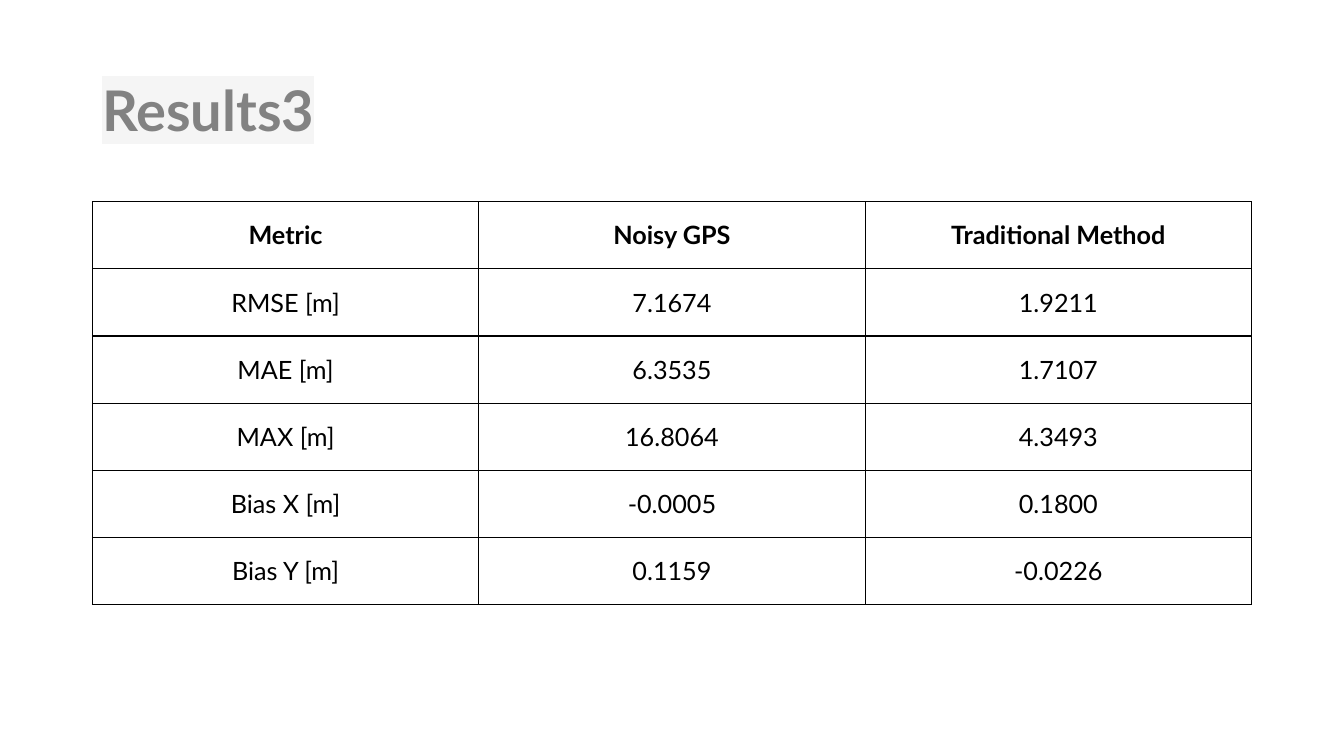
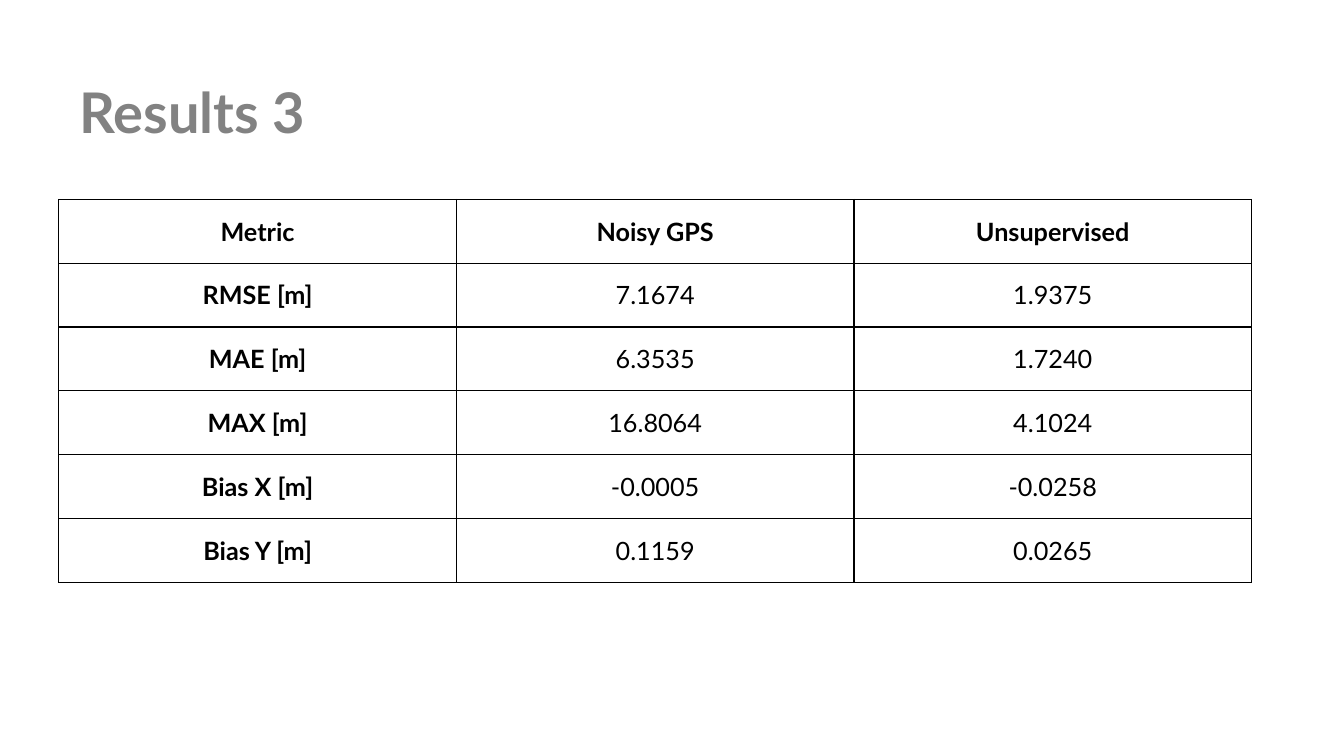
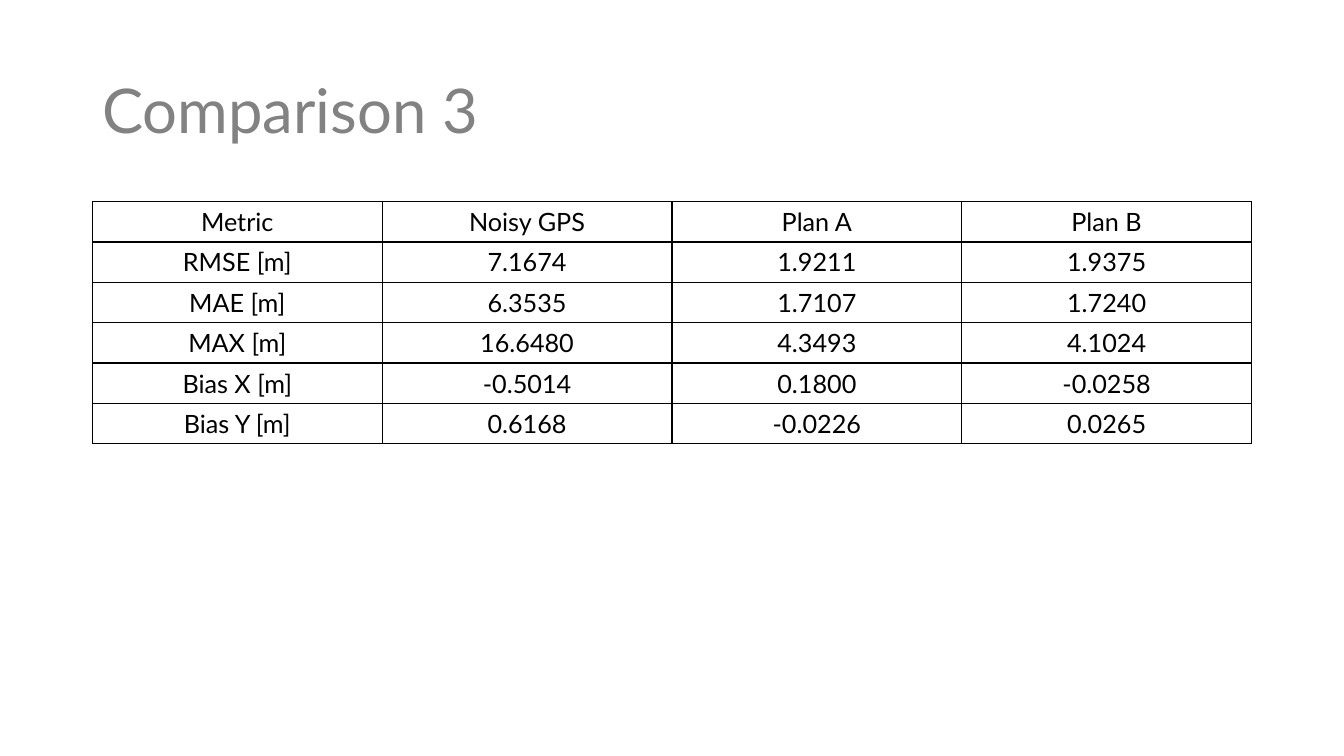
from lxml import etree
from pptx import Presentation
from pptx.dml.color import RGBColor
from pptx.enum import text
from pptx.oxml import ns
from pptx.util import Pt

FONT = "Lato"
COLORS = {"title": "828282", "highlight": "F5F5F5", "ink": "000000"}
METRICS = ["Metric", "RMSE [m]", "MAE [m]", "MAX [m]", "Bias X [m]", "Bias Y [m]"]
NOISY = ["Noisy GPS", "7.1674", "6.3535", "16.8064", "-0.0005", "0.1159"]
NOISY_COMPARED = ["Noisy GPS", "7.1674", "6.3535", "16.6480", "-0.5014", "0.6168"]
TRADITIONAL = ["1.9211", "1.7107", "4.3493", "0.1800", "-0.0226"]
UNSUPERVISED = ["1.9375", "1.7240", "4.1024", "-0.0258", "0.0265"]


def style(paragraph, size, color, bold):
    font = paragraph.font
    font.name, font.size, font.bold = FONT, Pt(size), bold
    font.color.rgb = RGBColor.from_string(COLORS[color])


def add_color(parent, tag, color):
    """Append an element holding one RGB colour."""
    holder = etree.SubElement(parent, ns.qn(tag))
    etree.SubElement(holder, ns.qn("a:srgbClr"), val=COLORS[color])


def add_title(slide, wording, left=66, top=28.8, size=40, bold=True, highlight=False):
    box = slide.shapes.add_textbox(Pt(left), Pt(top), Pt(828), Pt(104.4))
    frame = box.text_frame
    frame.word_wrap = True
    frame.vertical_anchor = text.MSO_ANCHOR.MIDDLE
    heading = frame.paragraphs[0]
    heading.line_spacing = 0.9
    style(heading, size, "title", bold)
    run = heading.add_run()
    run.text = wording
    if highlight:
        add_color(run._r.get_or_add_rPr(), "a:highlight", "highlight")


def outline(cell, width=1):
    """Draw all four borders of a cell."""
    properties = cell._tc.get_or_add_tcPr()
    for side in ("L", "R", "T", "B"):
        line = etree.SubElement(properties, ns.qn(f"a:ln{side}"), w=str(Pt(width)))
        add_color(line, "a:solidFill", "ink")


def add_metrics_table(slide, columns, left=66, top=144, width=828, row_height=48,
                      bold_header=True, bold_metrics=False):
    rows = list(zip(*columns))
    table = slide.shapes.add_table(len(rows), len(columns), Pt(left), Pt(top),
                                   Pt(width), Pt(row_height * len(rows))).table
    table.first_row = table.horz_banding = False
    for r, values in enumerate(rows):
        for c, value in enumerate(values):
            cell = table.cell(r, c)
            cell.text = value
            cell.vertical_anchor = text.MSO_ANCHOR.MIDDLE
            outline(cell)
            cell.fill.background()
            entry = cell.text_frame.paragraphs[0]
            entry.alignment = text.PP_ALIGN.CENTER
            bold = (bold_header and r == 0) or (bold_metrics and c == 0)
            style(entry, 18, "ink", bold)


def main():
    deck = Presentation()
    deck.slide_width, deck.slide_height = Pt(960), Pt(540)
    blank = deck.slide_layouts[6]

    # Traditional method
    slide = deck.slides.add_slide(blank)
    add_title(slide, "Results3", highlight=True)
    add_metrics_table(slide, [METRICS, NOISY, ["Traditional Method"] + TRADITIONAL])

    # Unsupervised method
    slide = deck.slides.add_slide(blank)
    add_title(slide, "Results 3", left=50, top=30.2)
    add_metrics_table(slide, [METRICS, NOISY, ["Unsupervised"] + UNSUPERVISED],
                      left=42, top=142.4, width=852, row_height=45.6,
                      bold_metrics=True)

    # Both plans side by side
    slide = deck.slides.add_slide(blank)
    add_title(slide, "Comparison 3", size=44, bold=False)
    add_metrics_table(slide, [METRICS, NOISY_COMPARED, ["Plan A"] + TRADITIONAL,
                              ["Plan B"] + UNSUPERVISED],
                      row_height=28.8, bold_header=False)

    deck.save("out.pptx")


if __name__ == "__main__":
    main()
